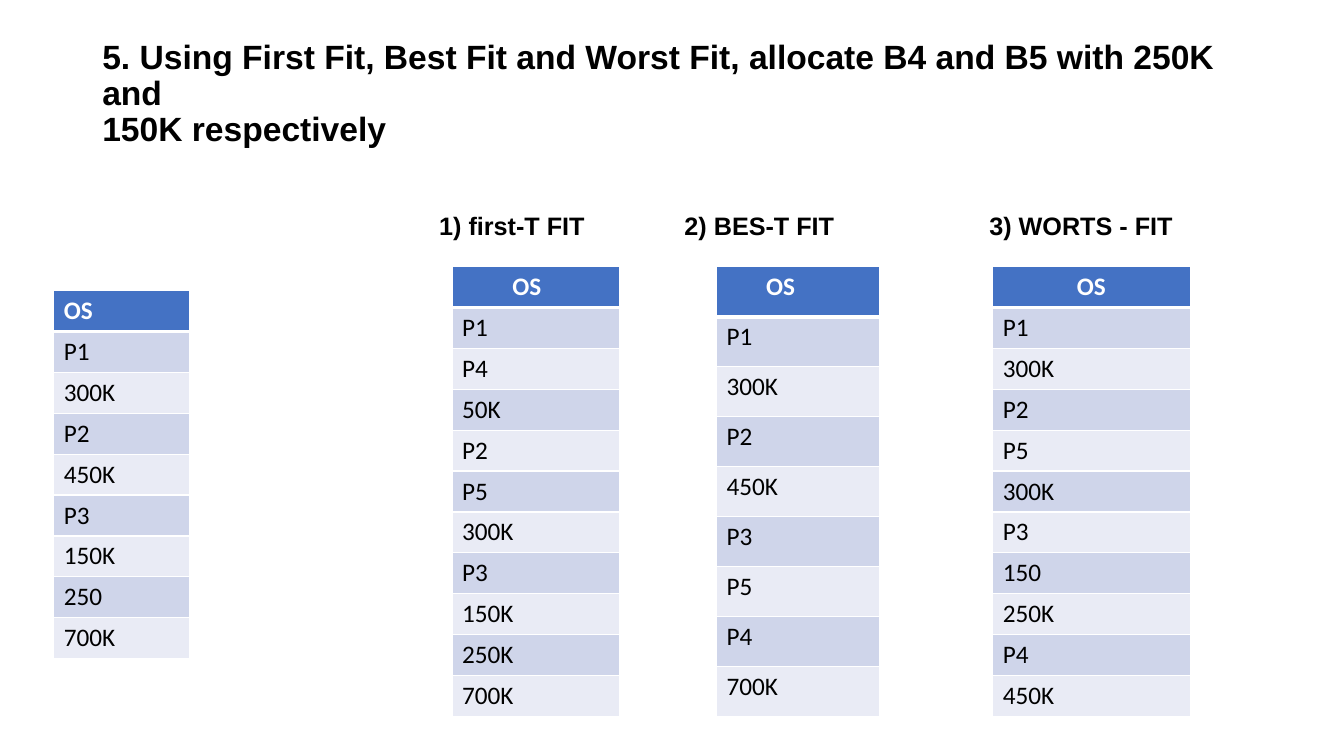
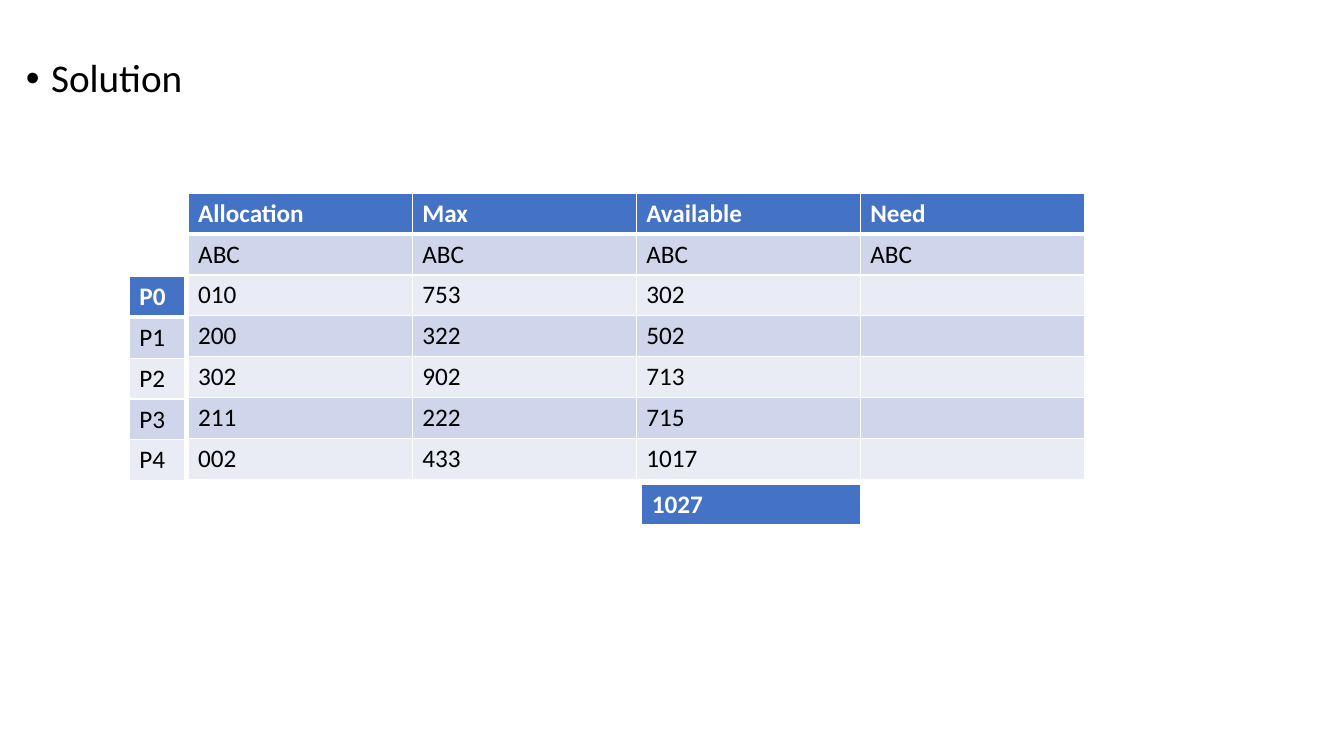
from dataclasses import dataclass

from lxml.etree import SubElement
from pptx import Presentation
from pptx.dml.color import RGBColor
from pptx.oxml import parse_xml
from pptx.oxml.ns import nsdecls, qn
from pptx.util import Inches, Pt

# Shared look
COLORS = {
    "text": "000000",
    "header": "4472C4",
    "band_dark": "CFD5EA",
    "band_light": "E9EBF5",
    "white": "FFFFFF",
}
TITLE = {"name": "Arial", "size": Pt(24), "bold": True}
CAPTION = {"name": "Arial", "size": Pt(18), "bold": True}
BODY = {"name": "Calibri", "size": Pt(28), "bold": False}
HEADER_CELL = {"name": "Calibri", "size": Pt(18), "bold": True}
BODY_CELL = {"name": "Calibri", "size": Pt(18), "bold": False}

# The slide is a grid of 160 columns by 90 rows of square units
WIDTH, HEIGHT = Inches(13.333), Inches(7.5)
GRID_ROWS = 90
ROW = 4.87


@dataclass
class TextBlock:
    text: str
    left: float
    top: float
    width: float
    height: float
    style: dict
    line_spacing: float = 1.0
    margin_top: float = 0.6
    bullet: bool = False


@dataclass
class BandedTable:
    cells: list[list[str]]
    left: float
    top: float
    column_width: float
    row_height: float = ROW
    header_indent: float = 0


def units(count: float) -> int:
    """Length of a number of grid units."""
    return round(count * HEIGHT / GRID_ROWS)


def column(entries: str) -> list[list[str]]:
    """Cells of a one-column table."""
    return [[entry] for entry in entries.split()]


def add_text(paragraph, text: str, style: dict, color: str) -> None:
    paragraph.text = text
    for run in paragraph.runs:
        for name, value in style.items():
            setattr(run.font, name, value)
        run.font.color.rgb = RGBColor.from_string(COLORS[color])


def draw_text(slide, block: TextBlock) -> None:
    box = slide.shapes.add_textbox(
        *map(units, (block.left, block.top, block.width, block.height)))
    frame = box.text_frame
    frame.word_wrap = True
    frame.margin_top = units(block.margin_top)
    paragraph = frame.paragraphs[0]
    add_text(paragraph, block.text, block.style, "text")
    paragraph.line_spacing = block.line_spacing
    if block.bullet:
        properties = paragraph._p.get_or_add_pPr()
        properties.set("marL", str(units(3)))
        properties.set("indent", str(-units(3)))
        SubElement(properties, qn("a:buFont")).set("typeface", "Arial")
        SubElement(properties, qn("a:buChar")).set("char", "•")


def set_borders(cell, top: float, bottom: float) -> None:
    """White cell borders; widths in points."""
    properties = cell._tc.get_or_add_tcPr()
    widths = {"lnL": 1, "lnR": 1, "lnT": top, "lnB": bottom}
    for index, (side, width) in enumerate(widths.items()):
        properties.insert(index, parse_xml(
            f'<a:{side} {nsdecls("a")} w="{Pt(width)}"><a:solidFill>'
            f'<a:srgbClr val="{COLORS["white"]}"/></a:solidFill></a:{side}>'))


def draw_table(slide, spec_table: BandedTable) -> None:
    row_count, column_count = len(spec_table.cells), len(spec_table.cells[0])
    table = slide.shapes.add_table(
        row_count, column_count, units(spec_table.left), units(spec_table.top),
        units(spec_table.column_width * column_count),
        units(spec_table.row_height * row_count)).table
    for row_index, entries in enumerate(spec_table.cells):
        is_header = row_index == 0
        band = "band_dark" if row_index % 2 else "band_light"
        for column_index, text in enumerate(entries):
            cell = table.cell(row_index, column_index)
            cell.fill.solid()
            cell.fill.fore_color.rgb = RGBColor.from_string(
                COLORS["header" if is_header else band])
            set_borders(cell, top=3 if row_index == 1 else 1,
                        bottom=3 if is_header else 1)
            if is_header:
                cell.margin_left = units(1.2 + spec_table.header_indent)
            add_text(cell.text_frame.paragraphs[0], text,
                     HEADER_CELL if is_header else BODY_CELL,
                     "white" if is_header else "text")


# Slide 1: memory before and after each placement strategy
CAPTION_TOP, CAPTION_HEIGHT = 24.5, 4.8
RESULT_TOP = 31.75
FIT_TEXTS = [
    TextBlock("5. Using First Fit, Best Fit and Worst Fit, allocate B4 and B5 "
              "with 250K and \n150K respectively",
              11, 4.8, 138, 17.4, TITLE, line_spacing=0.9, margin_top=0),
] + [
    TextBlock(text, left, CAPTION_TOP, width, CAPTION_HEIGHT, CAPTION)
    for text, left, width in (("1) first-T FIT", 51.1, 21),
                              ("2) BES-T FIT", 80.3, 21),
                              ("3) WORTS - FIT", 116.6, 25))
]
FIT_TABLES = [
    BandedTable(column("OS P1 300K P2 450K P3 150K 250 700K"), 6.4, 34.6, 16.2),
    BandedTable(column("OS P1 P4 50K P2 P5 300K P3 150K 250K 700K"),
                53.8, RESULT_TOP, 19.9, header_indent=6),
    BandedTable(column("OS P1 300K P2 450K P3 P5 P4 700K"),
                85.3, RESULT_TOP, 19.4, row_height=5.95, header_indent=4.7),
    BandedTable(column("OS P1 300K P2 P5 300K P3 150 250K P4 450K"),
                118.2, RESULT_TOP, 23.5, header_indent=8.8),
]

# Slide 2: resource allocation by process
SOLUTION_TEXTS = [
    TextBlock("Solution", 1.9, 6.4, 153.6, 78.6, BODY, line_spacing=0.9, bullet=True),
]
SOLUTION_TABLES = [
    BandedTable(column("P0 P1 P2 P3 P4"), 15.4, 32.9, 6.6),
    BandedTable([
        ["Allocation", "Max", "Available", "Need"],
        ["ABC", "ABC", "ABC", "ABC"],
        ["010", "753", "302", ""],
        ["200", "322", "502", ""],
        ["302", "902", "713", ""],
        ["211", "222", "715", ""],
        ["002", "433", "1017", ""],
    ], 22.4, 23, 26.67),
    BandedTable([["1027"]], 76.4, 57.7, 26),
]


def main() -> None:
    presentation = Presentation()
    presentation.slide_width, presentation.slide_height = WIDTH, HEIGHT
    blank_layout = presentation.slide_layouts[6]
    for texts, tables in ((FIT_TEXTS, FIT_TABLES),
                          (SOLUTION_TEXTS, SOLUTION_TABLES)):
        slide = presentation.slides.add_slide(blank_layout)
        for block in texts:
            draw_text(slide, block)
        for banded_table in tables:
            draw_table(slide, banded_table)
    presentation.save("out.pptx")


if __name__ == "__main__":
    main()
